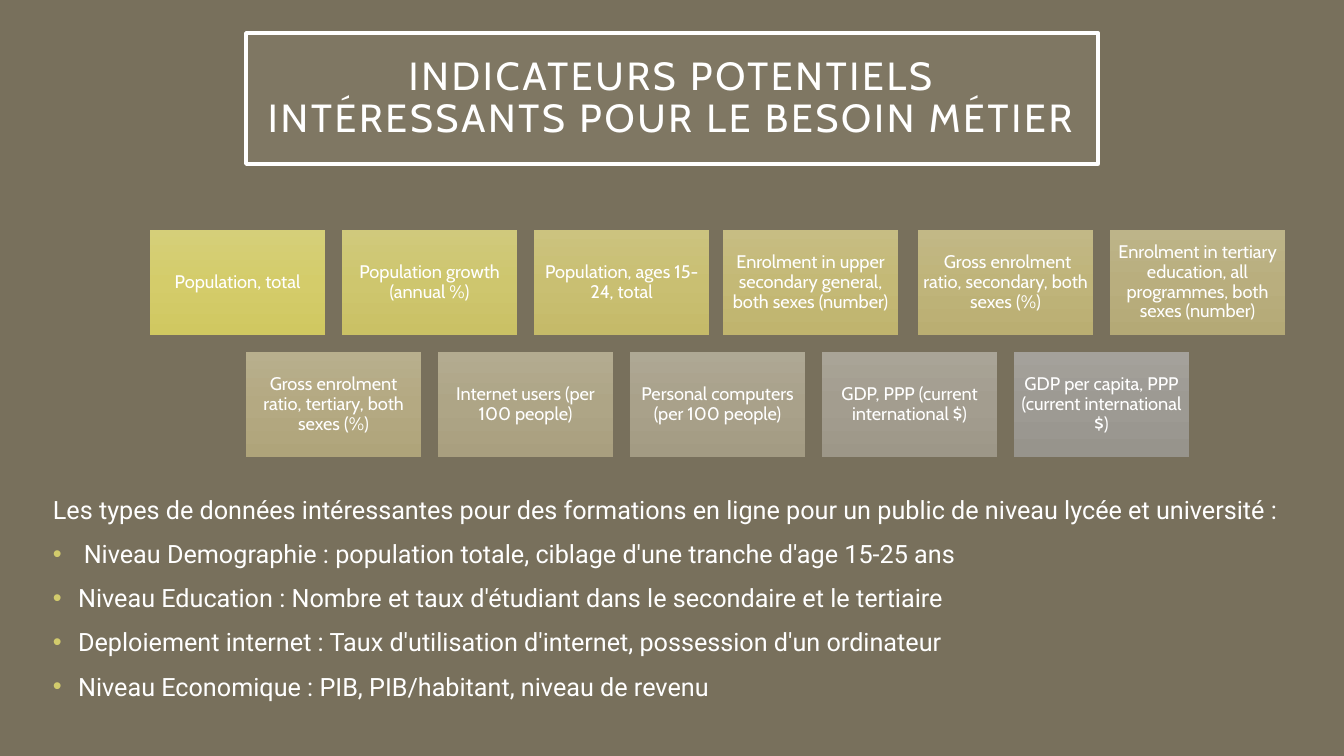
from lxml import etree
from pptx import Presentation
from pptx import util as u
from pptx.dml.color import RGBColor
from pptx.enum import shapes, text
from pptx.oxml.ns import qn

PX = 914400 / 100.8
COLORS = {"background": "78705C", "white": "FFFFFF", "title": "A7A08E", "bullet": "D2CB6C"}
HEADING_FONT, BODY_FONT = "Cabin", "Roboto"
CARD_WIDTH, CARD_HEIGHT, CARD_GAP = 175, 105, 17

TITLE = "INDICATEURS POTENTIELS\vINTÉRESSANTS POUR LE BESOIN MÉTIER "
TOP_CARDS = [
    ("Population, total", "D5CF79 D4CC6A D0C861", 0),
    ("Population growth (annual %)", "D0C97C CEC66E CAC165", 0),
    ("Population, ages 15-24, total", "CCC37F C9BF72 C5BA69", 0),
    ("Enrolment in upper secondary general, both sexes (number)", "C7BD83 C4B976 C0B46E", -3),
    (" Gross enrolment ratio, secondary, both sexes (%)", "C2B886 BFB47A BAAE72", 0),
    ("Enrolment in tertiary education, all programmes, both sexes (number)",
     "BDB489 B9AE7E B4A976", 0),
]
BOTTOM_CARDS = [
    ("Gross enrolment ratio, tertiary, both sexes (%)", "B8AF8D B4A982 AFA47A", 0),
    ("Internet users (per 100 people)", "B3AB90 AEA586 A99F7F", 0),
    ("Personal computers (per 100 people)", "AEA894 A9A18A A39B83", 0),
    ("GDP, PPP (current international $)", "A9A497 A39D8F 9D9788", 0),
    ("GDP per capita, PPP (current international $)", "A4A19B 9D9A93 97948C", 0),
]
INTRO = ("Les types de données intéressantes pour des formations en ligne "
         "pour un public de niveau lycée et université :")
LEVELS = [
    [(" ", HEADING_FONT),
     ("Niveau Demographie : population totale, ciblage d'une tranche d'age 15-25 ans", BODY_FONT)],
    [("Niveau Education : Nombre et taux d'étudiant dans le secondaire et le tertiaire", BODY_FONT)],
    [("Deploiement internet : Taux d'utilisation d'internet, possession d'un ordinateur", BODY_FONT)],
    [("Niveau Economique : PIB, PIB/habitant, niveau de revenu", BODY_FONT)],
]


def px(length):
    return u.Emu(round(length * PX))


def color(name):
    return RGBColor.from_string(COLORS[name])


def style(span, font, size):
    span.font.name = font
    span.font.size = u.Pt(size)
    span.font.color.rgb = color("white")


def add_box(page, box, words, size, inset):
    shape = page.shapes.add_shape(shapes.MSO_SHAPE.RECTANGLE, *map(px, box))
    shape.shadow.inherit = False
    frame = shape.text_frame
    frame.word_wrap = True
    frame.vertical_anchor = text.MSO_ANCHOR.MIDDLE
    frame.margin_left = frame.margin_right = px(inset)
    frame.margin_top = frame.margin_bottom = px(inset)
    para = frame.paragraphs[0]
    para.text = words
    para.alignment = text.PP_ALIGN.CENTER
    para.line_spacing = 0.9
    for span in para.runs:
        style(span, HEADING_FONT, size)
    return shape


def add_title(page, box):
    shape = add_box(page, box, TITLE, 28, 20)
    shape.fill.solid()
    shape.fill.fore_color.rgb = color("title")
    tint = shape.fill._xPr.find(qn("a:solidFill"))[0]
    etree.SubElement(tint, qn("a:alpha")).set("val", "15000")
    shape.line.color.rgb = color("white")
    shape.line.width = u.Pt(2.5)
    for span in shape.text_frame.paragraphs[0].runs:
        span.font._element.set("spc", "200")


def fill_gradient(shape, stops):
    shape.fill.gradient()
    shape.fill.gradient_angle = 270
    stop_list = shape.fill._xPr.find(qn("a:gradFill")).find(qn("a:gsLst"))
    for stop in list(stop_list):
        stop_list.remove(stop)
    for position, value in zip((0, 50000, 100000), stops):
        stop = etree.SubElement(stop_list, qn("a:gs"), pos=str(position))
        etree.SubElement(stop, qn("a:srgbClr"), val=value)


def add_card_row(page, left, top, cards):
    for column, (words, stops, nudge) in enumerate(cards):
        x = left + column * (CARD_WIDTH + CARD_GAP) + nudge
        card = add_box(page, (x, top, CARD_WIDTH, CARD_HEIGHT), words, 13, 5)
        fill_gradient(card, stops.split())
        card.line.fill.background()


def add_bullet(para):
    para.space_before = u.Pt(10)
    props = para._p.get_or_add_pPr()
    props.set("marL", "228600")
    props.set("indent", "-228600")
    tint = etree.SubElement(props, qn("a:buClr"))
    etree.SubElement(tint, qn("a:srgbClr"), val=COLORS["bullet"])
    etree.SubElement(props, qn("a:buFont"), typeface="Arial")
    etree.SubElement(props, qn("a:buChar"), char="•")


def add_levels(page, box):
    frame = page.shapes.add_textbox(*map(px, box)).text_frame
    frame.word_wrap = False
    frame.auto_size = text.MSO_AUTO_SIZE.SHAPE_TO_FIT_TEXT
    intro = frame.paragraphs[0]
    intro.text = INTRO
    style(intro.runs[0], BODY_FONT, 18)
    for level in LEVELS:
        para = frame.add_paragraph()
        add_bullet(para)
        for words, font in level:
            span = para.add_run()
            span.text = words
            style(span, font, 18)


def main():
    deck = Presentation()
    deck.slide_width, deck.slide_height = px(1344), px(756)
    page = deck.slides.add_slide(deck.slide_layouts[6])
    page.background.fill.solid()
    page.background.fill.fore_color.rgb = color("background")
    add_title(page, (246, 33, 852, 131))
    add_card_row(page, 150, 230, TOP_CARDS)
    add_card_row(page, 246, 352, BOTTOM_CARDS)
    add_levels(page, (43, 489, 1258, 250))
    deck.save("out.pptx")


if __name__ == "__main__":
    main()
